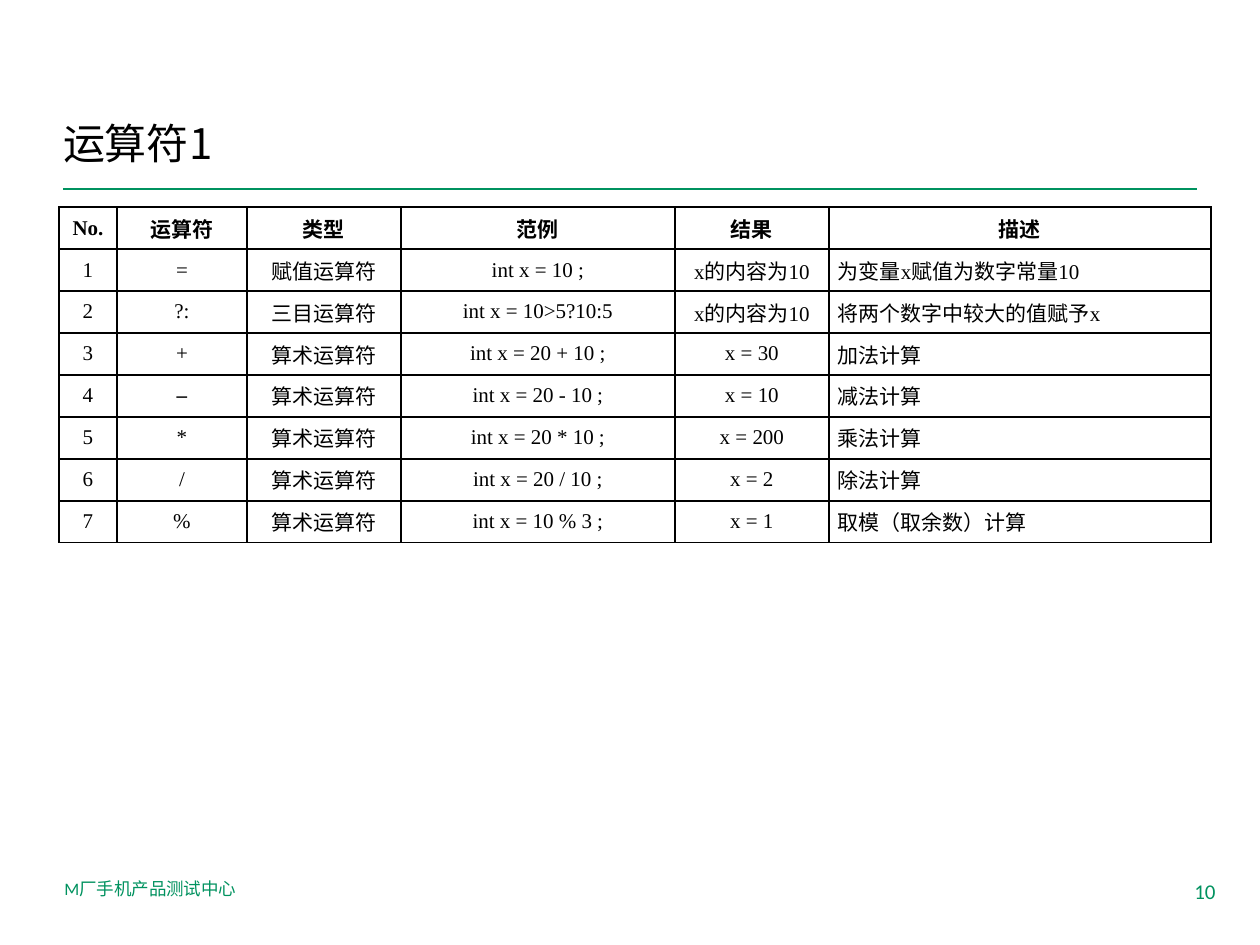
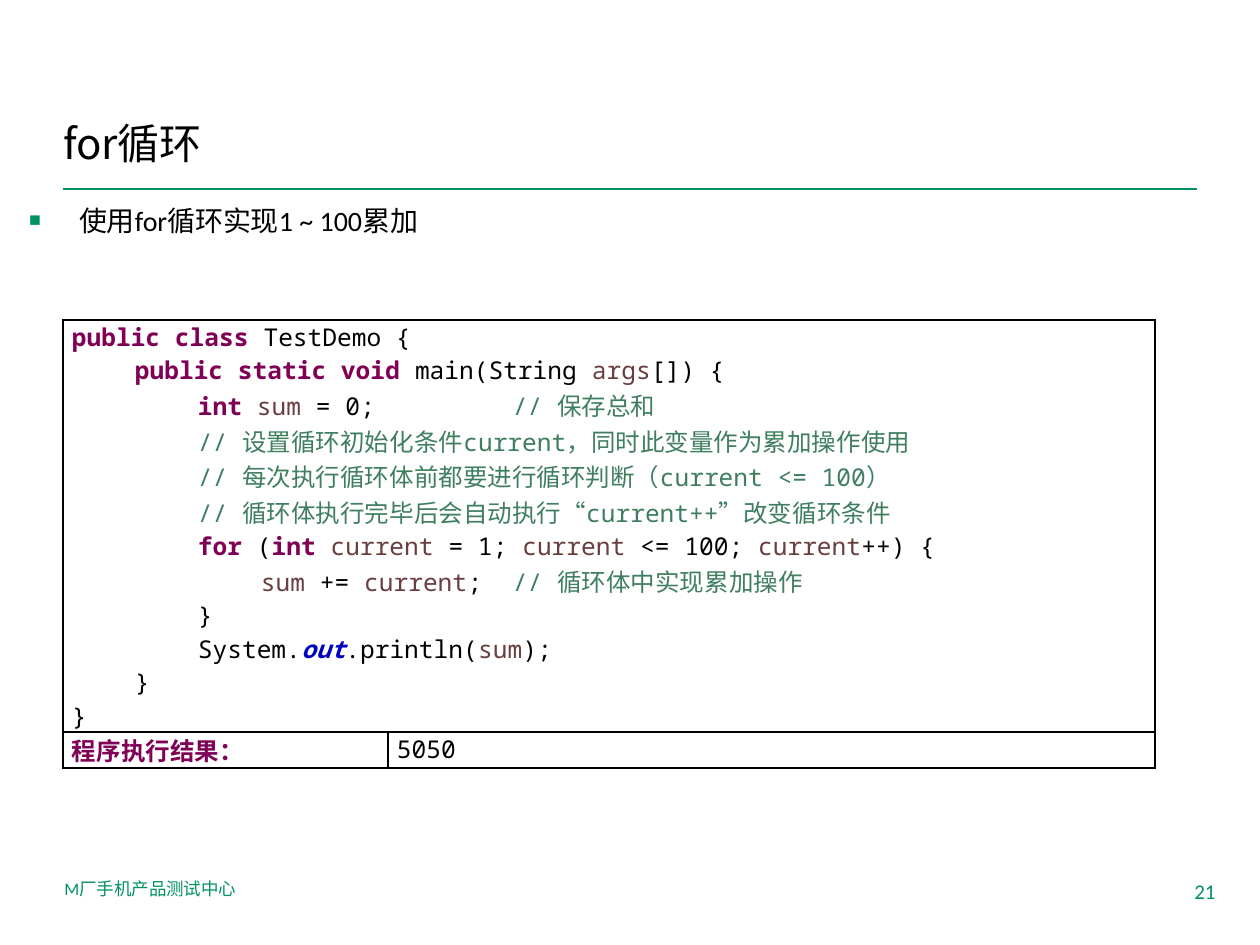
"""Build two Java teaching slides: an operator table and a for-loop listing."""
from lxml import etree
from pptx import Presentation
from pptx import util as u
from pptx.dml.color import RGBColor
from pptx.enum import shapes, text
from pptx.oxml.ns import qn

PX_PER_INCH = 126
GREEN, BLACK = "00925F", "000000"
CJK_FONT, BODY_FONT = "Noto Sans CJK SC", "Calibri"
TABLE_FONT, CODE_FONT = "Times New Roman", "Noto Sans Mono"
FOOTER = "M厂手机产品测试中心"
CENTER, RIGHT = text.PP_ALIGN.CENTER, text.PP_ALIGN.RIGHT

OPERATOR_COLUMNS = [58, 130, 154, 274, 154, 382]
OPERATOR_HEADER = ["No.", "运算符", "类型", "范例", "结果", "描述"]
OPERATORS = [
    ("=", "赋值运算符", "int x = 10 ;", "x的内容为10", "为变量x赋值为数字常量10"),
    ("?:", "三目运算符", "int x = 10>5?10:5", "x的内容为10", "将两个数字中较大的值赋予x"),
    ("+", "算术运算符", "int x = 20 + 10 ;", "x = 30", "加法计算"),
    ("–", "算术运算符", "int x = 20 - 10 ;", "x = 10", "减法计算"),
    ("*", "算术运算符", "int x = 20 * 10 ;", "x = 200", "乘法计算"),
    ("/", "算术运算符", "int x = 20 / 10 ;", "x = 2", "除法计算"),
    ("%", "算术运算符", "int x = 10 % 3 ;", "x = 1", "取模（取余数）计算"),
]

SYNTAX = {
    "plain": {"color": BLACK},
    "keyword": {"color": "7F0055", "bold": True},
    "variable": {"color": "6A3E3E"},
    "comment": {"color": "3F7F5F"},
    "field": {"color": "0000C0", "bold": True, "italic": True},
}
SUM, CURRENT = ("sum", "variable"), ("current", "variable")
PROGRAM = [
    (0, [("public class", "keyword"), (" TestDemo {", "plain")]),
    (1, [("public static void", "keyword"), (" main(String ", "plain"),
         ("args", "variable"), ("[]) {", "plain")]),
    (2, [("int ", "keyword"), SUM, (" = 0; \t\t", "plain"), ("// 保存总和", "comment")]),
    (2, [("// 设置循环初始化条件current，同时此变量作为累加操作使用", "comment")]),
    (2, [("// 每次执行循环体前都要进行循环判断（current <= 100）", "comment")]),
    (2, [("// 循环体执行完毕后会自动执行“current++”改变循环条件", "comment")]),
    (2, [("for", "keyword"), (" (", "plain"), ("int ", "keyword"), CURRENT,
         (" = 1; ", "plain"), CURRENT, (" <= 100; ", "plain"), CURRENT, ("++) {", "plain")]),
    (3, [SUM, (" += ", "plain"), CURRENT, (";\t", "plain"), ("// 循环体中实现累加操作", "comment")]),
    (2, [("}", "plain")]),
    (2, [("System.", "plain"), ("out", "field"), (".println(", "plain"), SUM, (");", "plain")]),
    (1, [("}", "plain")]),
    (0, [("}", "plain")]),
]
RESULT = [("程序执行结果：", "keyword"), ("5050", "plain")]


def px(length):
    """Turn px into EMU."""
    return u.Emu(round(length * 914400 / PX_PER_INCH))


def rgb(color):
    """Turn a hex string into a colour."""
    return RGBColor.from_string(color)


def format_run(run, font, size, color=BLACK, bold=False, italic=False):
    """Set the Latin and East Asian fonts, size, colour and weight of a run."""
    run.font.name, run.font.size = font, u.Pt(size)
    run.font.bold, run.font.italic = bold, italic
    run.font.color.rgb = rgb(color)
    east_asian = etree.Element(qn("a:ea"), typeface=CJK_FONT)
    run.font._element.find(qn("a:latin")).addnext(east_asian)


def write(paragraph, content, font, size, align=text.PP_ALIGN.LEFT, **style):
    """Fill a paragraph with text of one format."""
    paragraph.text = content
    paragraph.alignment = align
    for run in paragraph.runs:
        format_run(run, font, size, **style)


def place(shape, left, top, width, height):
    """Move and size a shape."""
    shape.left, shape.top, shape.width, shape.height = map(px, (left, top, width, height))


def fill_placeholder(shape, box, content, font, size, anchor):
    """Move a placeholder and give it one formatted paragraph."""
    place(shape, *box)
    frame = shape.text_frame
    frame.auto_size, frame.vertical_anchor = text.MSO_AUTO_SIZE.NONE, anchor
    frame.margin_left = 0
    write(frame.paragraphs[0], content, font, size)
    return frame.paragraphs[0]


def add_label(slide, box, content, size, align):
    """Add a green footer text."""
    shape = slide.shapes.add_textbox(*map(px, box))
    shape.text_frame.word_wrap = True
    write(shape.text_frame.paragraphs[0], content, BODY_FONT, size, align, color=GREEN)


def add_slide(presentation, layout, title, number):
    """Add a slide with the shared title, rule and footer."""
    slide = presentation.slides.add_slide(presentation.slide_layouts[layout])
    rule = slide.shapes.add_connector(
        shapes.MSO_CONNECTOR.STRAIGHT, px(63), px(189), px(1197), px(189))
    rule.line.color.rgb, rule.line.width = rgb(GREEN), u.Pt(1)
    etree.SubElement(rule._element.spPr, qn("a:effectLst"))
    fill_placeholder(slide.shapes.title, (63, 102, 1134, 81), title,
                     CJK_FONT, 24, text.MSO_ANCHOR.MIDDLE)
    add_label(slide, (52, 872, 399, 50), FOOTER, 10, text.PP_ALIGN.LEFT)
    add_label(slide, (1173, 872, 55, 50), number, 12, RIGHT)
    return slide


def add_grid(slide, left, top, columns, rows, anchor):
    """Add an unfilled table with thin black borders."""
    frame = slide.shapes.add_table(len(rows), len(columns), px(left), px(top),
                                   px(sum(columns)), px(sum(rows)))
    table = frame.table
    table.first_row = table.horz_banding = False
    for column, width in zip(table.columns, columns):
        column.width = px(width)
    for row, height in zip(table.rows, rows):
        row.height = px(height)
    for cell in table.iter_cells():
        cell.margin_left = cell.margin_right = px(9)
        cell.margin_top = cell.margin_bottom = 0
        cell.vertical_anchor = anchor
        for side in ("lnL", "lnR", "lnT", "lnB"):
            border = etree.SubElement(cell._tc.tcPr, qn(f"a:{side}"), w=str(u.Pt(1)))
            solid = etree.SubElement(border, qn("a:solidFill"))
            etree.SubElement(solid, qn("a:srgbClr"), val=BLACK)
        cell.fill.background()
    return table


def set_bullet(paragraph):
    """Give a paragraph a hanging green square."""
    properties = paragraph._p.get_or_add_pPr()
    properties.set("marL", str(px(50)))
    properties.set("indent", str(px(-50)))
    color = etree.SubElement(properties, qn("a:buClr"))
    etree.SubElement(color, qn("a:srgbClr"), val=GREEN)
    etree.SubElement(properties, qn("a:buSzPct"), val="70000")
    etree.SubElement(properties, qn("a:buChar"), char="■")


def write_program(frame):
    """Write the listing with coloured syntax and half-inch tab stops."""
    for index, (depth, pieces) in enumerate(PROGRAM):
        paragraph = frame.add_paragraph() if index else frame.paragraphs[0]
        stops = etree.SubElement(paragraph._p.get_or_add_pPr(), qn("a:tabLst"))
        for step in range(1, 9):
            etree.SubElement(stops, qn("a:tab"), pos=str(px(63 * step)), algn="l")
        indent = [("\t" * depth, "plain")] if depth else []
        for content, kind in indent + pieces:
            run = paragraph.add_run()
            run.text = content
            format_run(run, CODE_FONT, 14, **SYNTAX[kind])


def build_operators(presentation):
    """Build the operator table slide."""
    slide = add_slide(presentation, 5, "运算符1", "10")
    rows = [OPERATOR_HEADER]
    rows += [(str(number), *operator) for number, operator in enumerate(OPERATORS, 1)]
    table = add_grid(slide, 59, 207, OPERATOR_COLUMNS, [42] * len(rows), text.MSO_ANCHOR.MIDDLE)
    for row_index, row in enumerate(rows):
        for column_index, content in enumerate(row):
            header = row_index == 0
            description = column_index == len(row) - 1 and not header
            write(table.cell(row_index, column_index).text_frame.paragraphs[0], content,
                  TABLE_FONT, 12, text.PP_ALIGN.LEFT if description else CENTER,
                  bold=header or content == "–")


def build_loop(presentation):
    """Build the for-loop slide."""
    slide = add_slide(presentation, 1, "for循环", "21")
    bullet = fill_placeholder(slide.placeholders[1], (29, 197, 1201, 444),
                              "使用for循环实现1 ~ 100累加", BODY_FONT, 16, text.MSO_ANCHOR.TOP)
    set_bullet(bullet)
    table = add_grid(slide, 63, 320, [325, 767], [412, 36], text.MSO_ANCHOR.TOP)
    table.cell(0, 0).merge(table.cell(0, 1))
    write_program(table.cell(0, 0).text_frame)
    for column, (content, kind) in enumerate(RESULT):
        write(table.cell(1, column).text_frame.paragraphs[0], content,
              CODE_FONT, 14, **SYNTAX[kind])


def main():
    """Build and save the presentation."""
    presentation = Presentation()
    presentation.slide_width, presentation.slide_height = px(1260), px(945)
    build_operators(presentation)
    build_loop(presentation)
    presentation.save("out.pptx")


if __name__ == "__main__":
    main()
